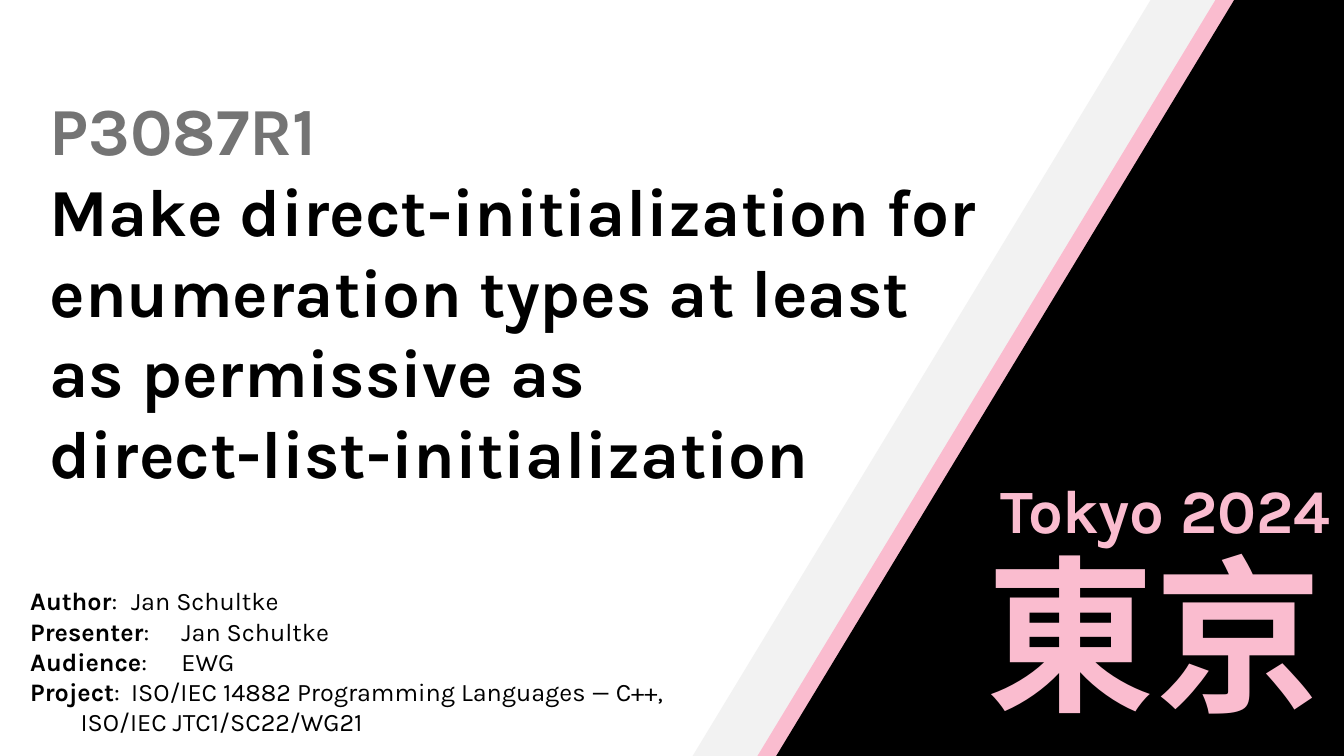
"""Build the opening slide of a paper talk on enumeration types."""
from dataclasses import dataclass

from lxml.etree import SubElement
from pptx import Presentation
from pptx.dml.color import RGBColor
from pptx.enum.shapes import MSO_SHAPE
from pptx.enum.text import MSO_ANCHOR, MSO_AUTO_SIZE, PP_ALIGN
from pptx.oxml.ns import qn
from pptx.util import Inches, Pt

WIDTH, HEIGHT = Inches(13.33), Inches(7.5)
HUES = {"pale": "F2F2F2", "pink": "FABCCF", "black": "000000", "grey": "747474"}
FRAME = {
    "word_wrap": True,
    "auto_size": MSO_AUTO_SIZE.NONE,
    "vertical_anchor": MSO_ANCHOR.TOP,
}
PARA = {"alignment": PP_ALIGN.LEFT, "space_before": Pt(0), "space_after": Pt(0)}


@dataclass
class Box:
    """Place and size in percent of the slide."""
    left: float
    top: float
    width: float
    height: float

    def spot(self) -> dict:
        return {
            "left": across(self.left),
            "top": down(self.top),
            "width": across(self.width),
            "height": down(self.height),
        }


@dataclass
class Band:
    left: float
    top: float
    hue: str


@dataclass
class Line:
    text: str
    size: int
    hue: str = "black"


@dataclass
class Fact:
    label: str
    value: str
    stop: float


BANDS = [
    Band(41.79, 20.13, "pale"),
    Band(47.34, 18, "pink"),
    Band(50.19, 13.73, "black"),
]
HEAD = [
    Line("P3087R1", 48, "grey"),
    Line("Make direct-initialization for enumeration types at least", 48),
    Line("as permissive as", 48),
    Line("direct-list-initialization", 48),
]
PLACES = [
    (Box(73.74, 61.73, 29.41, 11.2), Line("Tokyo 2024", 44, "pink")),
    (Box(72.69, 69.47, 34.51, 28.27), Line("東京", 120, "pink")),
]
FACTS = [
    Fact("Author", "Jan Schultke", 10.88),
    Fact("Presenter", "Jan Schultke", 10.13),
    Fact("Audience", "EWG", 10.35),
    Fact("Project", "ISO/IEC 14882 Programming Languages — C++,", 10.58),
    Fact("", "ISO/IEC JTC1/SC22/WG21", 11.4),
]


def across(share: float) -> int:
    return round(WIDTH * share / 100)


def down(share: float) -> int:
    return round(HEIGHT * share / 100)


def apply(item, form: dict) -> None:
    for name, value in form.items():
        setattr(item, name, value)


def draw_band(slide, band: Band, depth: int) -> None:
    spot = Box(band.left, band.top, 113.95, 126.27).spot()
    shape = slide.shapes.add_shape(MSO_SHAPE.RECTANGLE, *spot.values())
    shape.rotation = 301.2
    shape.shadow.inherit = False
    shape.fill.solid()
    shape.fill.fore_color.rgb = RGBColor.from_string(HUES[band.hue])
    shape.line.fill.background()
    shape.element.getparent().insert(depth, shape.element)


def add_text(para, line: Line, bold: bool = True) -> None:
    run = para.add_run()
    run.text = line.text
    apply(run.font, {"name": "Karla", "size": Pt(line.size), "bold": bold})
    run.font.color.rgb = RGBColor.from_string(HUES[line.hue])


def add_paras(frame, count: int) -> list:
    apply(frame, FRAME)
    paras = [frame.paragraphs[0]]
    paras += [frame.add_paragraph() for _ in range(count - 1)]
    for para in paras:
        apply(para, PARA)
    return paras


def add_lines(frame, lines: list[Line]) -> None:
    for para, line in zip(add_paras(frame, len(lines)), lines):
        add_text(para, line)


def add_facts(frame, facts: list[Fact]) -> None:
    for para, fact in zip(add_paras(frame, len(facts)), facts):
        props = para._p.get_or_add_pPr()
        apply_xml = {"marL": "0", "indent": "0"}
        props.attrib.update(apply_xml)
        SubElement(props, qn("a:buNone"))
        tabs = SubElement(props, qn("a:tabLst"))
        SubElement(tabs, qn("a:tab"), pos=str(across(fact.stop)), algn="l")
        if fact.label:
            add_text(para, Line(fact.label, 18))
        colon = ":" if fact.label else ""
        add_text(para, Line(f"{colon}\t{fact.value}", 18), bold=False)


def main() -> None:
    deck = Presentation()
    apply(deck, {"slide_width": WIDTH, "slide_height": HEIGHT})
    slide = deck.slides.add_slide(deck.slide_layouts[1])
    title, body = slide.placeholders
    for depth, band in enumerate(BANDS, start=2):
        draw_band(slide, band, depth)
    apply(title, Box(2.93, 11.07, 80.05, 55.2).spot())
    add_lines(title.text_frame, HEAD)
    for box, line in PLACES:
        label = slide.shapes.add_textbox(*box.spot().values())
        add_lines(label.text_frame, [line])
    apply(body, Box(1.5, 76.8, 59.71, 21.6).spot())
    add_facts(body.text_frame, FACTS)
    deck.save("out.pptx")


if __name__ == "__main__":
    main()
